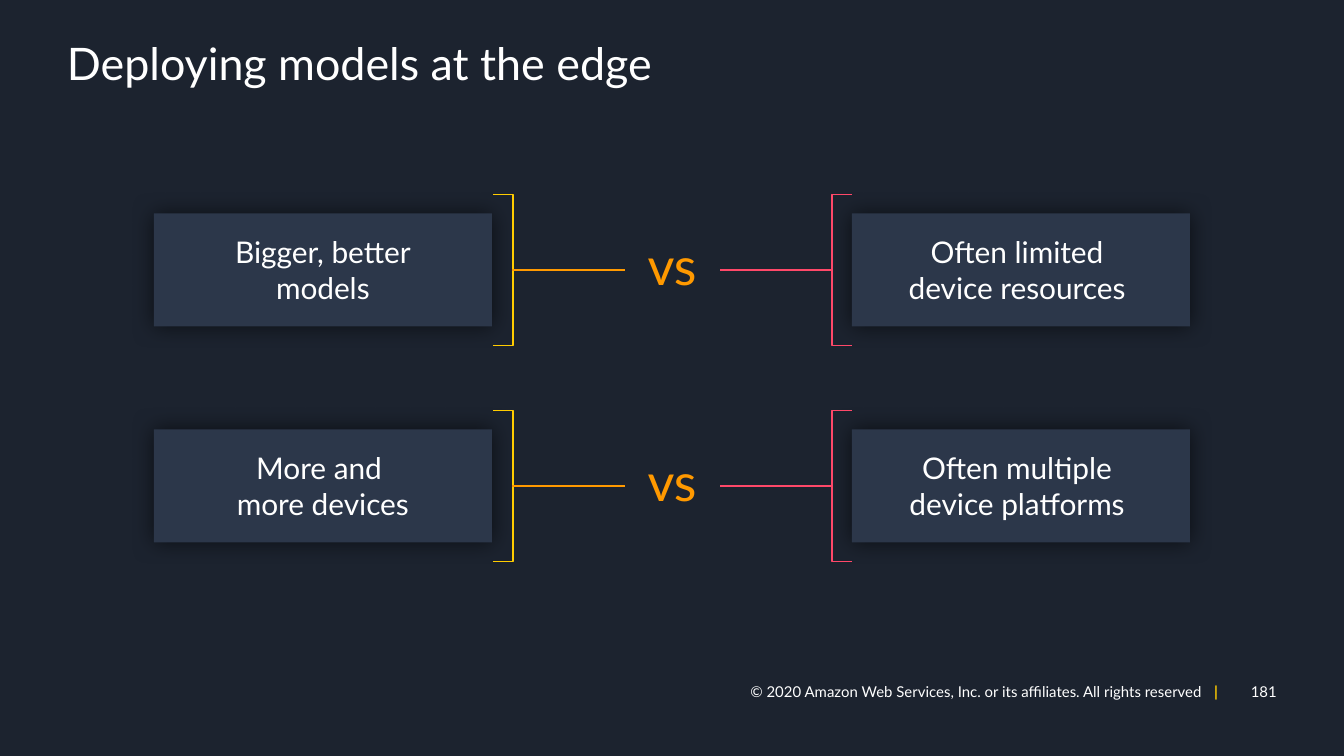
from lxml.etree import SubElement
from pptx import Presentation
from pptx.dml.color import RGBColor
from pptx.enum.shapes import MSO_CONNECTOR, MSO_SHAPE
from pptx.enum.text import MSO_ANCHOR, MSO_AUTO_SIZE, PP_ALIGN
from pptx.oxml.ns import qn
from pptx.util import Emu, Pt

EMU_PER_PX = 914400 / 134.4
FONT = "Lato"
COLORS = {
    "background": "1C232F",
    "box": "2C374A",
    "text": "FFFFFF",
    "yellow": "FFCC00",
    "orange": "FF9900",
    "pink": "FF4869",
    "shadow": "000000",
}

# Rows of the comparison: the left side against the right side
COMPARISONS = [
    ("Bigger, better\vmodels", "Often limited \vdevice resources "),
    ("More and \vmore devices", "Often multiple \vdevice platforms "),
]
FIRST_CENTER, ROW_PITCH = 270, 216
BOX_WIDTH, BOX_HEIGHT = 338, 113
BRACKET_WIDTH, BRACKET_HEIGHT = 20, 151


def px(length):
    return Emu(round(length * EMU_PER_PX))


def rgb(name):
    return RGBColor.from_string(COLORS[name])


def place(*lengths):
    return [px(length) for length in lengths]


def style(paragraph, size, color, align):
    paragraph.alignment = align
    paragraph.font.name = FONT
    paragraph.font.size = Pt(size)
    paragraph.font.color.rgb = rgb(color)


def set_margins(frame, horizontal, vertical):
    frame.margin_left = frame.margin_right = px(horizontal)
    frame.margin_top = frame.margin_bottom = px(vertical)


def add_title(slide, text):
    title = slide.shapes.title
    title.left, title.top, title.width, title.height = place(67, 42, 1210, 101)
    frame = title.text_frame
    frame.text = text
    frame.auto_size = MSO_AUTO_SIZE.NONE
    frame.vertical_anchor = MSO_ANCHOR.TOP
    set_margins(frame, 0, 0)
    style(frame.paragraphs[0], 24, "text", PP_ALIGN.LEFT)
    frame.paragraphs[0].line_spacing = 0.9


def add_footer_text(slide, left, width, text):
    frame = slide.shapes.add_textbox(*place(left, 680, width, 23)).text_frame
    frame.word_wrap = True
    frame.vertical_anchor = MSO_ANCHOR.MIDDLE
    set_margins(frame, 0, 0)
    frame.text = text
    style(frame.paragraphs[0], 8, "text", PP_ALIGN.RIGHT)
    return frame.paragraphs[0]


def add_glow(shape):
    """Soft black shadow, spread evenly around the shape."""
    effects = shape._element.spPr.get_or_add_effectLst() if hasattr(
        shape._element.spPr, "get_or_add_effectLst") else SubElement(
        shape._element.spPr, qn("a:effectLst"))
    shadow = SubElement(effects, qn("a:outerShdw"), blurRad=str(Pt(12)),
                        dist="0", dir="0", algn="ctr", rotWithShape="0")
    color = SubElement(shadow, qn("a:srgbClr"), val=COLORS["shadow"])
    SubElement(color, qn("a:alpha"), val="60000")


def add_box(slide, left, center, text):
    box = slide.shapes.add_shape(
        MSO_SHAPE.RECTANGLE,
        *place(left, center - BOX_HEIGHT / 2, BOX_WIDTH, BOX_HEIGHT))
    box.fill.solid()
    box.fill.fore_color.rgb = rgb("box")
    box.line.fill.background()
    add_glow(box)
    frame = box.text_frame
    frame.word_wrap = True
    frame.vertical_anchor = MSO_ANCHOR.MIDDLE
    set_margins(frame, 27, 22)
    frame.text = text
    style(frame.paragraphs[0], 16, "text", PP_ALIGN.CENTER)


def add_bracket(slide, left, center, color, flipped=False):
    bracket = slide.shapes.add_shape(
        MSO_SHAPE.LEFT_BRACKET,
        *place(left, center - BRACKET_HEIGHT / 2, BRACKET_WIDTH, BRACKET_HEIGHT))
    bracket.adjustments[0] = 0
    bracket.shadow.inherit = False
    bracket.fill.background()
    bracket.line.color.rgb = rgb(color)
    bracket.line.width = Pt(1)
    if flipped:
        bracket._element.spPr.xfrm.set("flipH", "1")


def add_link(slide, start, end, center, color):
    link = slide.shapes.add_connector(
        MSO_CONNECTOR.STRAIGHT, *place(start, center, end, center))
    link.line.color.rgb = rgb(color)
    link.line.width = Pt(1)
    SubElement(link._element.spPr, qn("a:effectLst"))


def add_versus(slide, center):
    frame = slide.shapes.add_textbox(*place(598, center - 43, 148, 86)).text_frame
    frame.word_wrap = True
    frame.auto_size = MSO_AUTO_SIZE.SHAPE_TO_FIT_TEXT
    frame.text = "vs"
    style(frame.paragraphs[0], 28, "orange", PP_ALIGN.CENTER)


def main():
    presentation = Presentation()
    presentation.slide_width, presentation.slide_height = place(1344, 756)
    slide = presentation.slides.add_slide(presentation.slide_layouts[5])
    slide.background.fill.solid()
    slide.background.fill.fore_color.rgb = rgb("background")

    # Title and footer
    add_title(slide, "Deploying models at the edge")
    add_footer_text(slide, 1152, 125, "181")
    copyright_line = add_footer_text(
        slide, 681, 537,
        "© 2020 Amazon Web Services, Inc. or its affiliates. All rights reserved   ")
    divider = copyright_line.add_run()
    divider.text = "|"
    divider.font.bold = True
    divider.font.color.rgb = rgb("yellow")

    # Comparison rows
    for row, (demand, limit) in enumerate(COMPARISONS):
        center = FIRST_CENTER + row * ROW_PITCH
        add_box(slide, 154, center, demand)
        add_box(slide, 852, center, limit)
        add_bracket(slide, 493, center, "yellow", flipped=True)
        add_bracket(slide, 832, center, "pink")
        add_versus(slide, center)
        add_link(slide, 625, 512, center, "orange")
        add_link(slide, 832, 720, center, "pink")

    presentation.save("out.pptx")


if __name__ == "__main__":
    main()
